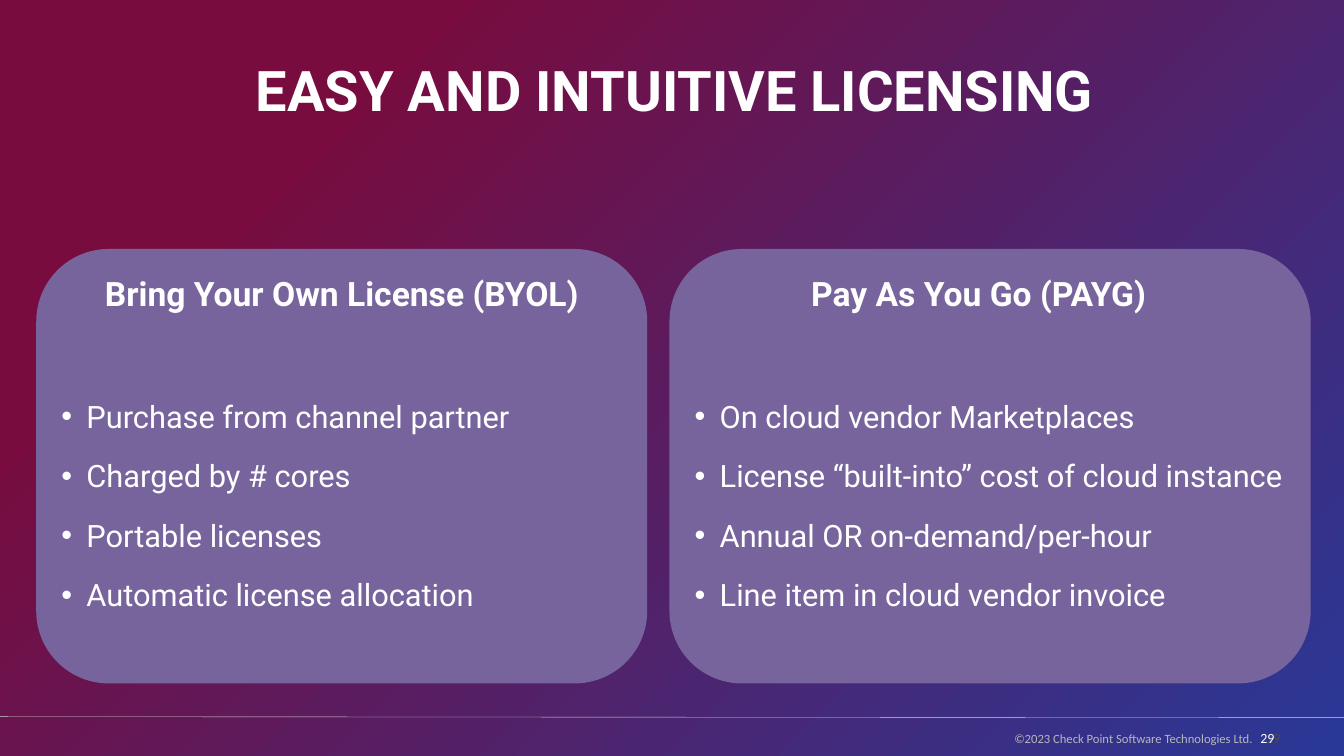
"""Build a licensing comparison slide with two rounded cards."""
from dataclasses import dataclass

from lxml import etree
from pptx import Presentation
from pptx.dml.color import RGBColor
from pptx.enum.shapes import MSO_CONNECTOR, MSO_SHAPE
from pptx.enum.text import MSO_ANCHOR, PP_ALIGN
from pptx.oxml.ns import qn
from pptx.util import Inches, Pt

LEFT, CENTER, RIGHT = PP_ALIGN.LEFT, PP_ALIGN.CENTER, PP_ALIGN.RIGHT
TOP, MIDDLE = MSO_ANCHOR.TOP, MSO_ANCHOR.MIDDLE
ROUNDED, STRAIGHT = MSO_SHAPE.ROUNDED_RECTANGLE, MSO_CONNECTOR.STRAIGHT


@dataclass(frozen=True)
class Theme:
    blue: str = "293896"
    red: str = "780C3F"
    card: str = "77649D"
    white: str = "FFFFFF"
    rule: str = "D9D9D9"
    copyright: str = "B7B7B9"
    number: str = "4D4D4F"
    body_font: str = "Roboto"
    footer_font: str = "Calibri"
    title_size: int = 40
    heading_size: int = 24
    bullet_size: int = 22
    number_size: int = 10
    copyright_size: int = 9


@dataclass(frozen=True)
class Style:
    size: int
    color: str
    font: str
    bold: bool = False
    align: PP_ALIGN = LEFT
    anchor: MSO_ANCHOR = TOP
    spacing: float = 1.0
    bullet: bool = False
    inset: tuple[float, float] = (0.1, 0.05)


@dataclass(frozen=True)
class Label:
    text: str
    box: tuple[float, float, float, float]
    style: Style


@dataclass(frozen=True)
class Card:
    left: float
    width: float
    text_width: float
    heading: str
    bullets: tuple[str, ...]


T = Theme()
FOOTER_INSET = (0.13, 0.07)
TITLE = Style(T.title_size, T.white, T.body_font, True, CENTER, MIDDLE)
HEADING = Style(T.heading_size, T.white, T.body_font, True, CENTER, spacing=0.95)
BULLET = Style(T.bullet_size, T.white, T.body_font, spacing=1.5, bullet=True)
COPYRIGHT = Style(T.copyright_size, T.copyright, T.footer_font,
                  anchor=MIDDLE, inset=FOOTER_INSET)
NUMBER_BACK, NUMBER = (
    Style(T.number_size, color, T.footer_font, align=RIGHT, anchor=MIDDLE,
          inset=FOOTER_INSET)
    for color in (T.number, T.white)
)

LABELS = (
    Label("29", (10.82, 7.17, 2.01, 0.3), NUMBER_BACK),
    Label("©2023 Check Point Software Technologies Ltd.",
          (9.93, 7.16, 3, 0.33), COPYRIGHT),
    Label("EASY AND INTUITIVE LICENSING", (0.65, 0.5, 12.08, 0.77), TITLE),
    Label("29", (10.76, 7.17, 2.01, 0.3), NUMBER),
)

CARDS = (
    Card(0.36, 6.06, 6.06, "Bring Your Own License (BYOL)", (
        "Purchase from channel partner",
        "Charged by # cores",
        "Portable licenses",
        "Automatic license allocation",
    )),
    Card(6.64, 6.36, 6.13, "Pay As You Go (PAYG)", (
        "On cloud vendor Marketplaces",
        "License “built-into” cost of cloud instance",
        "Annual OR on-demand/per-hour",
        "Line item in cloud vendor invoice",
    )),
)


def apply(target: object, values: dict[str, object]) -> None:
    """Set each named attribute on the target."""
    for name, value in values.items():
        setattr(target, name, value)


def add_bullet(p: object, color: str) -> None:
    """Give a paragraph a hanging round bullet."""
    pPr = p._p.get_or_add_pPr()
    pPr.set("marL", str(Inches(0.25)))
    pPr.set("indent", str(-Inches(0.25)))
    clr = etree.SubElement(pPr, qn("a:buClr"))
    etree.SubElement(clr, qn("a:srgbClr"), val=color)
    etree.SubElement(pPr, qn("a:buFont"), typeface="Arial")
    etree.SubElement(pPr, qn("a:buChar"), char="•")


def add_text(shapes: object, box: tuple[float, ...], lines: tuple[str, ...],
             style: Style) -> None:
    """Add a text box with one paragraph per line."""
    tf = shapes.add_textbox(*map(Inches, box)).text_frame
    dx, dy = map(Inches, style.inset)
    apply(tf, {"word_wrap": True, "vertical_anchor": style.anchor,
               "margin_left": dx, "margin_right": dx,
               "margin_top": dy, "margin_bottom": dy})
    for i, line in enumerate(lines):
        p = tf.paragraphs[0] if i == 0 else tf.add_paragraph()
        if style.bullet:
            add_bullet(p, style.color)
        apply(p, {"alignment": style.align, "line_spacing": style.spacing})
        if i:
            p.space_before = Pt(3)
        r = p.add_run()
        r.text = line
        apply(r.font, {"size": Pt(style.size), "name": style.font,
                       "bold": style.bold})
        r.font.color.rgb = RGBColor.from_string(style.color)


def add_card(s: object, card: Card) -> None:
    """Draw a grouped card with its heading and bullets."""
    shapes = s.shapes.add_group_shape().shapes
    sp = shapes.add_shape(
        ROUNDED, *map(Inches, (card.left, 2.47, card.width, 4.31)))
    sp.shadow.inherit = False
    sp.fill.solid()
    sp.fill.fore_color.rgb = RGBColor.from_string(T.card)
    sp.line.fill.background()
    add_text(shapes, (card.left, 2.69, card.text_width, 0.71),
             (card.heading,), HEADING)
    add_text(shapes, (card.left + 0.15, 3.71, card.text_width, 2.63),
             card.bullets, BULLET)


def add_background(s: object) -> None:
    """Fill the slide with a gradient centred on the bottom right corner."""
    fill = s.background.fill
    fill.gradient()
    for stop, (position, color) in zip(
            fill.gradient_stops, ((0, T.blue), (0.79, T.red))):
        stop.position = position
        stop.color.rgb = RGBColor.from_string(color)
    lin = s._element.find(".//" + qn("a:lin"))
    grad = lin.getparent()
    grad.remove(lin)
    circle = etree.SubElement(grad, qn("a:path"), path="circle")
    etree.SubElement(circle, qn("a:fillToRect"), l="100000", t="100000")
    etree.SubElement(grad, qn("a:tileRect"), r="-100000", b="-100000")


def add_rule(s: object) -> None:
    """Draw the thin line above the footer."""
    line = s.shapes.add_connector(
        STRAIGHT, *map(Inches, (0, 7.11, 13.33, 7.12)))
    line.line.color.rgb = RGBColor.from_string(T.rule)
    line.line.width = Pt(0.25)
    etree.SubElement(line._element.spPr, qn("a:effectLst"))


def main() -> None:
    """Assemble and save the slide."""
    prs = Presentation()
    apply(prs, {"slide_width": Inches(13.33), "slide_height": Inches(7.5)})
    s = prs.slides.add_slide(prs.slide_layouts[6])
    add_background(s)
    add_rule(s)
    for label in LABELS:
        add_text(s.shapes, label.box, (label.text,), label.style)
    for card in CARDS:
        add_card(s, card)
    prs.save("out.pptx")


if __name__ == "__main__":
    main()
